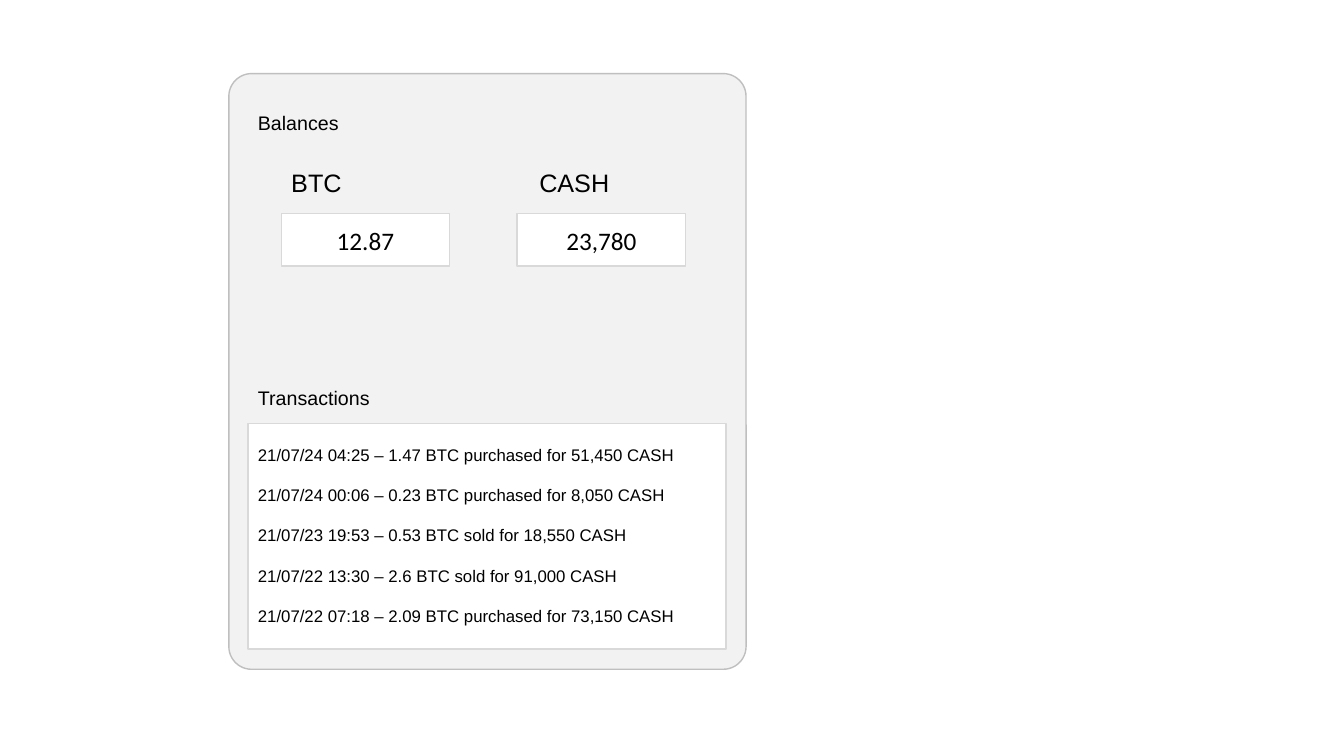
from dataclasses import dataclass

from pptx import Presentation
from pptx.dml.color import RGBColor
from pptx.enum.shapes import MSO_SHAPE
from pptx.enum.text import MSO_ANCHOR, PP_ALIGN
from pptx.util import Inches, Pt

RECT, ROUND = MSO_SHAPE.RECTANGLE, MSO_SHAPE.ROUNDED_RECTANGLE
LEFT, CENTER = PP_ALIGN.LEFT, PP_ALIGN.CENTER
TOP, MIDDLE = MSO_ANCHOR.TOP, MSO_ANCHOR.MIDDLE


@dataclass(frozen=True)
class Theme:
    ink: str = "000000"
    card: str = "F2F2F2"
    edge: str = "BFBFBF"
    field: str = "FFFFFF"
    rule: str = "D9D9D9"
    font: str = "Arial"
    digit: str = "Calibri"
    small: int = 12
    head: int = 14
    large: int = 18


THEME = Theme()
COINS = [("BTC", "12.87", 0), ("CASH", "23,780", 0.12)]
TRADES = [
    "21/07/24 04:25 – 1.47 BTC purchased for 51,450 CASH",
    "21/07/24 00:06 – 0.23 BTC purchased for 8,050 CASH",
    "21/07/23 19:53 – 0.53 BTC sold for 18,550 CASH",
    "21/07/22 13:30 – 2.6 BTC sold for 91,000 CASH",
    "21/07/22 07:18 – 2.09 BTC purchased for 73,150 CASH",
]


def write(shape, lines, size, font=THEME.font, align=LEFT, anchor=TOP, gap=0):
    frame = shape.text_frame
    frame.word_wrap = True
    frame.vertical_anchor = anchor
    for index, line in enumerate(lines):
        para = frame.add_paragraph() if index else frame.paragraphs[0]
        para.alignment = align
        para.space_before = Pt(gap if index else 0)
        run = para.add_run()
        run.text = line
        run.font.name = font
        run.font.size = Pt(size)
        run.font.color.rgb = RGBColor.from_string(THEME.ink)


def label(slide, box, lines, size, **style):
    write(slide.shapes.add_textbox(*map(Inches, box)), lines, size, **style)


def panel(slide, box, fill, line, kind=RECT):
    shape = slide.shapes.add_shape(kind, *map(Inches, box))
    shape.shadow.inherit = False
    shape.fill.solid()
    shape.fill.fore_color.rgb = RGBColor.from_string(fill)
    shape.line.color.rgb = RGBColor.from_string(line)
    shape.line.width = Pt(1)
    return shape


def balances(slide, box):
    left, top, width, height = box
    label(slide, (left, top, 1.67, 0.34), ["Balances"], THEME.head)
    for index, (coin, amount, shift) in enumerate(COINS):
        x = left + 0.33 + index * 2.34
        field = panel(slide, (x, top + 1.07, 1.67, 0.52), THEME.field, THEME.rule)
        write(field, [amount], THEME.large, font=THEME.digit, align=CENTER, anchor=MIDDLE)
        label(slide, (x + shift, top + 0.56, 1.55, 0.4), [coin], THEME.large)


def trades(slide, box):
    left, top, width, height = box
    label(slide, (left, top, 1.67, 0.34), ["Transactions"], THEME.head)
    panel(slide, (left, top + 0.42, width, height - 0.42), THEME.field, THEME.rule)
    label(slide, (left, top + 0.58, width, height - 0.74), TRADES, THEME.small, gap=14.4)


def wallet(slide, box):
    left, top, width, height = box
    card = panel(slide, box, THEME.card, THEME.edge, kind=ROUND)
    card.adjustments[0] = 0.044
    inner = left + 0.19
    balances(slide, (inner, top + 0.32, width - 0.39, 1.59))
    trades(slide, (inner, top + 3.05, width - 0.39, 2.66))


def main():
    deck = Presentation()
    deck.slide_width = Inches(13.33)
    deck.slide_height = Inches(7.5)
    slide = deck.slides.add_slide(deck.slide_layouts[6])
    wallet(slide, (2.27, 0.73, 5.13, 5.91))
    deck.save("out.pptx")


if __name__ == "__main__":
    main()
